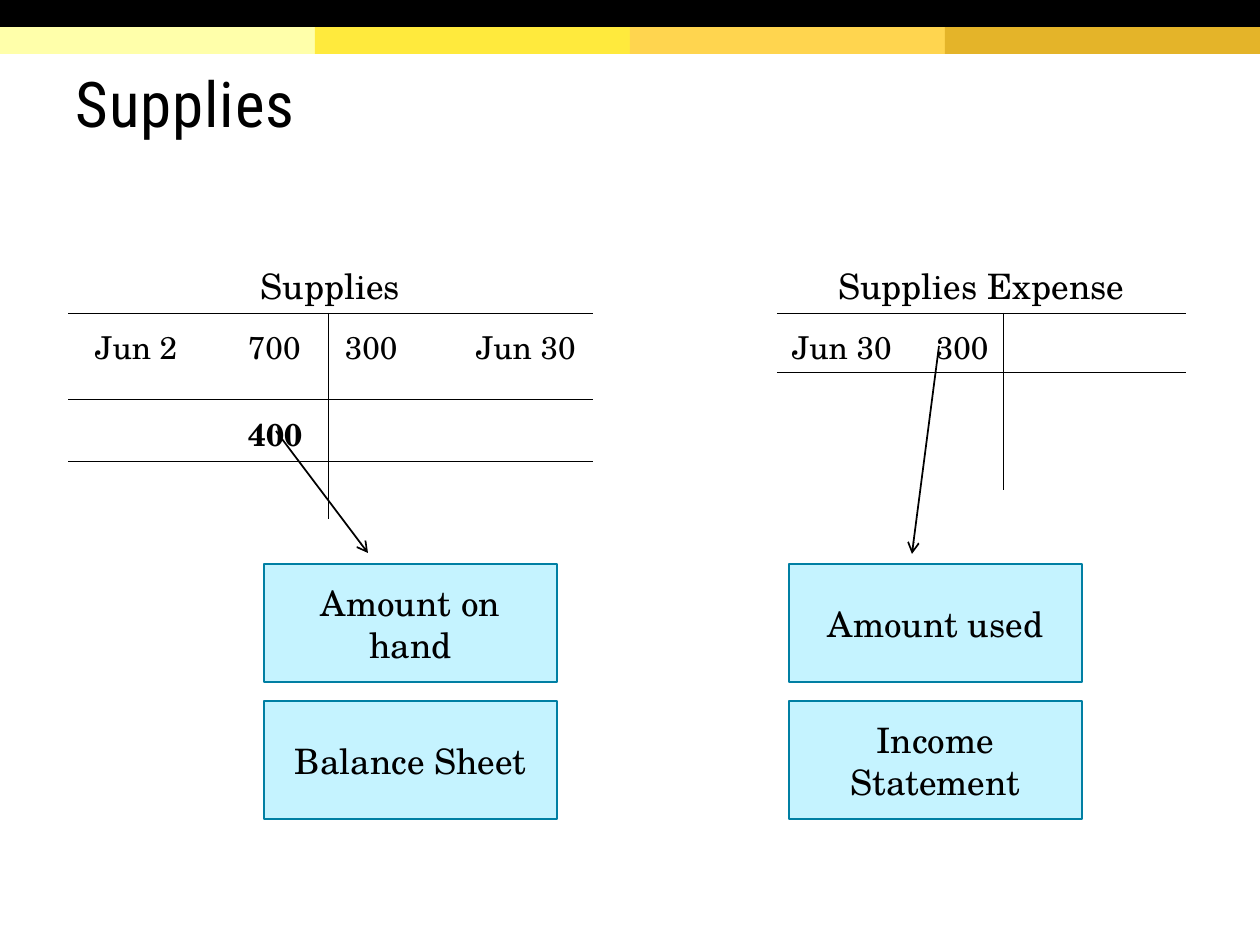
from lxml import etree
from pptx import Presentation
from pptx.dml.color import RGBColor
from pptx.enum.shapes import MSO_CONNECTOR, MSO_SHAPE
from pptx.enum.text import MSO_ANCHOR, PP_ALIGN
from pptx.oxml.ns import qn
from pptx.util import Pt

RECT = MSO_SHAPE.RECTANGLE
LINE = MSO_CONNECTOR.STRAIGHT
MID = MSO_ANCHOR.MIDDLE
LEFT, CENTER = PP_ALIGN.LEFT, PP_ALIGN.CENTER
SCALE = 914400 / 126
WIDE, HIGH = 1260, 945
BLACK = "000000"
SERIF, SANS = "TeX Gyre Schola", "Roboto Condensed"
BANDS = ["FFFFAA", "FFEA3D", "FFD54F", "E4B429"]


def px(n):
    return round(n * SCALE)


def color(code):
    return RGBColor.from_string(code)


def assign(item, values):
    for name, value in values.items():
        setattr(item, name, value)


def write(para, text, size, face=SERIF, bold=False):
    run = para.add_run()
    run.text = text
    assign(run.font, {"size": Pt(size), "name": face, "bold": bold})
    run.font.color.rgb = color(BLACK)
    return run


def block(slide, box, fill, edge=None):
    shape = slide.shapes.add_shape(RECT, *map(px, box))
    shape.shadow.inherit = False
    shape.fill.solid()
    shape.fill.fore_color.rgb = color(fill)
    if edge:
        shape.line.color.rgb = color(edge)
        shape.line.width = Pt(0.75)
    else:
        shape.line.fill.background()
    return shape


def banner(slide, box):
    left, top, width, height = box
    step, half = width // len(BANDS), height // 2
    for i, fill in enumerate(BANDS):
        block(slide, (left + i * step, top + half, step, half), fill)
    block(slide, (left, top, width, half), BLACK)


def title(slide, box, text):
    frame = slide.shapes.add_textbox(*map(px, box)).text_frame
    assign(frame, {"word_wrap": True, "vertical_anchor": MID,
                   "margin_left": px(13), "margin_right": px(13),
                   "margin_top": px(13), "margin_bottom": px(6)})
    para = frame.paragraphs[0]
    para.line_spacing = 0.85
    run = write(para, text, 36, SANS)
    run._r.get_or_add_rPr().set("spc", "50")


def label(slide, box, text):
    frame = block(slide, box, "C5F3FF", "007FA3").text_frame
    sides = ("left", "right", "top", "bottom")
    assign(frame, {"word_wrap": True, "vertical_anchor": MID,
                   **{f"margin_{side}": px(13) for side in sides}})
    para = frame.paragraphs[0]
    assign(para, {"alignment": CENTER, "space_before": Pt(8),
                  "space_after": Pt(8)})
    write(para, text, 20)


def border(cell, drawn):
    props = cell._tc.get_or_add_tcPr()
    for side in "LRTB":
        line = etree.SubElement(props, qn(f"a:ln{side}"), w=str(Pt(0.25)))
        if side in drawn:
            fill = etree.SubElement(line, qn("a:solidFill"))
            etree.SubElement(fill, qn("a:srgbClr"), val=BLACK)
        else:
            etree.SubElement(line, qn("a:noFill"))
    cell.fill.background()


def ledger(slide, box, cols, rows, name, rules, entries):
    size = len(rows), len(cols)
    table = slide.shapes.add_table(*size, *map(px, box)).table
    assign(table, {"first_row": False, "horz_banding": False})
    for col, width in zip(table.columns, cols):
        col.width = px(width)
    for row, height in zip(table.rows, rows):
        row.height = px(height)
    for r in range(len(rows)):
        for c in range(len(cols)):
            cell = table.cell(r, c)
            drawn = "RL"[c] if r else ""
            drawn += "T" if r - 1 in rules else ""
            drawn += "B" if r in rules else ""
            border(cell, drawn)
            assign(cell, {"margin_top": px(11), "margin_bottom": px(5),
                          "margin_right": 0})
    head = table.cell(0, 0)
    head.merge(table.cell(0, 1))
    head.margin_left = 0
    para = head.text_frame.paragraphs[0]
    para.alignment = CENTER
    write(para, name, 20)
    for r, c, inset, tab, text, bold in entries:
        cell = table.cell(r, c)
        cell.margin_left = px(inset)
        para = cell.text_frame.paragraphs[0]
        para.alignment = LEFT
        if tab:
            stops = etree.SubElement(para._p.get_or_add_pPr(), qn("a:tabLst"))
            etree.SubElement(stops, qn("a:tab"), pos=str(px(tab)), algn="l")
        write(para, text, 18, bold=bold)


def arrow(slide, start, end):
    line = slide.shapes.add_connector(LINE, *map(px, start + end))
    line.line.color.rgb = color(BLACK)
    line.line.width = Pt(1)
    etree.SubElement(line.line._get_or_add_ln(), qn("a:tailEnd"), type="arrow")
    etree.SubElement(line._element.spPr, qn("a:effectLst"))


def main():
    deck = Presentation()
    assign(deck, {"slide_width": px(WIDE), "slide_height": px(HIGH)})
    slide = deck.slides.add_slide(deck.slide_layouts[6])
    banner(slide, (0, 0, WIDE, 54))
    title(slide, (63, 29, 1134, 151), "Supplies")
    ledger(slide, (68, 249, 525, 270), [260, 265], [64, 86, 62, 58],
           "Supplies", (0, 1, 2),
           [(1, 0, 27, 153, "Jun 2\t700", False),
            (1, 1, 17, 131, "300\tJun 30", False),
            (2, 0, 180, 0, "400", True)])
    ledger(slide, (777, 249, 409, 241), [226, 183], [64, 59, 59, 59],
           "Supplies Expense", (0, 1),
           [(1, 0, 15, 144, "Jun 30\t300", False)])
    arrow(slide, (276, 431), (368, 553))
    arrow(slide, (939, 346), (912, 554))
    for left, words in ((264, ("Amount on hand", "Balance Sheet")),
                        (789, ("Amount used", "Income Statement"))):
        for i, text in enumerate(words):
            label(slide, (left, 564 + i * 137, 293, 118), text)
    deck.save("out.pptx")


if __name__ == "__main__":
    main()
